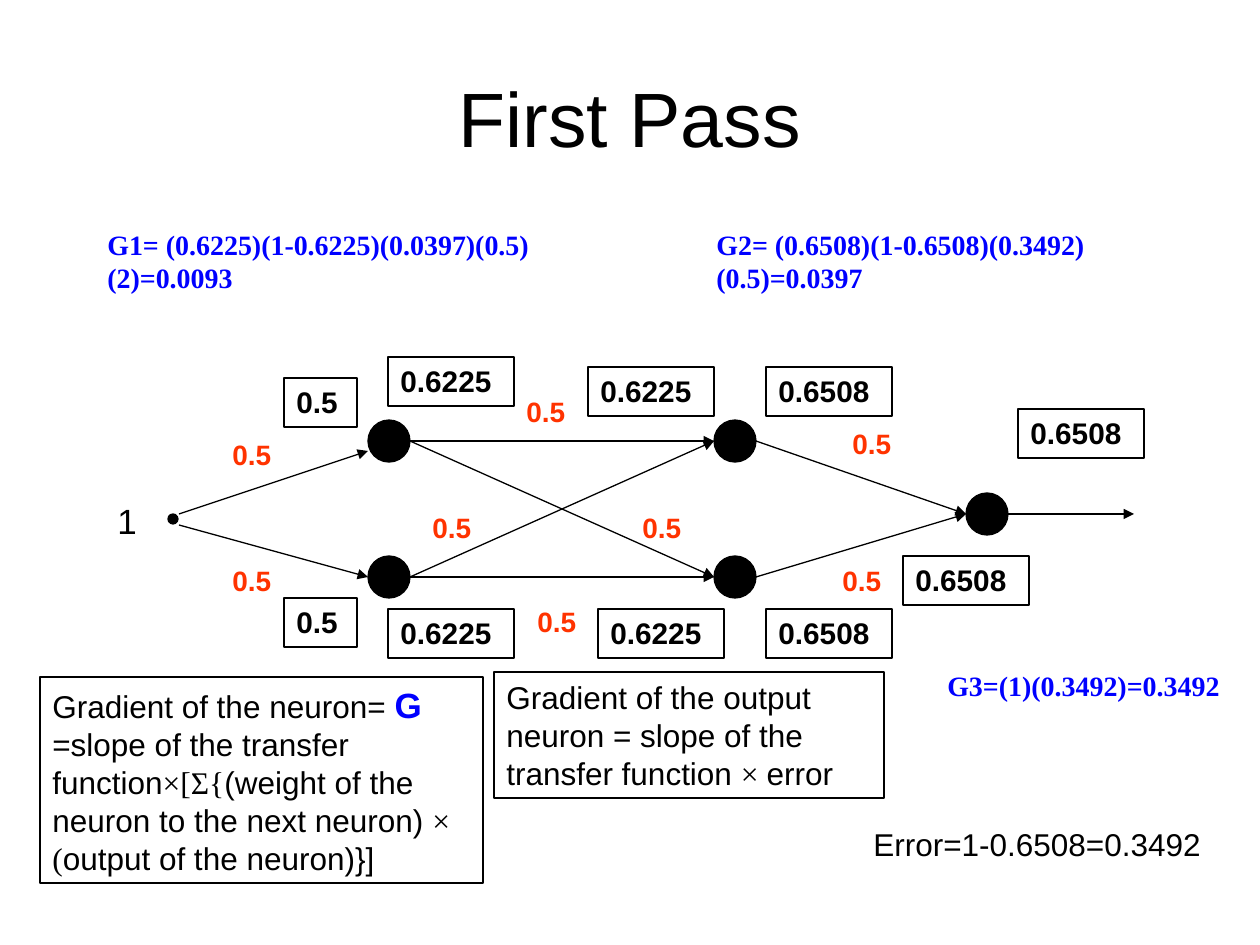
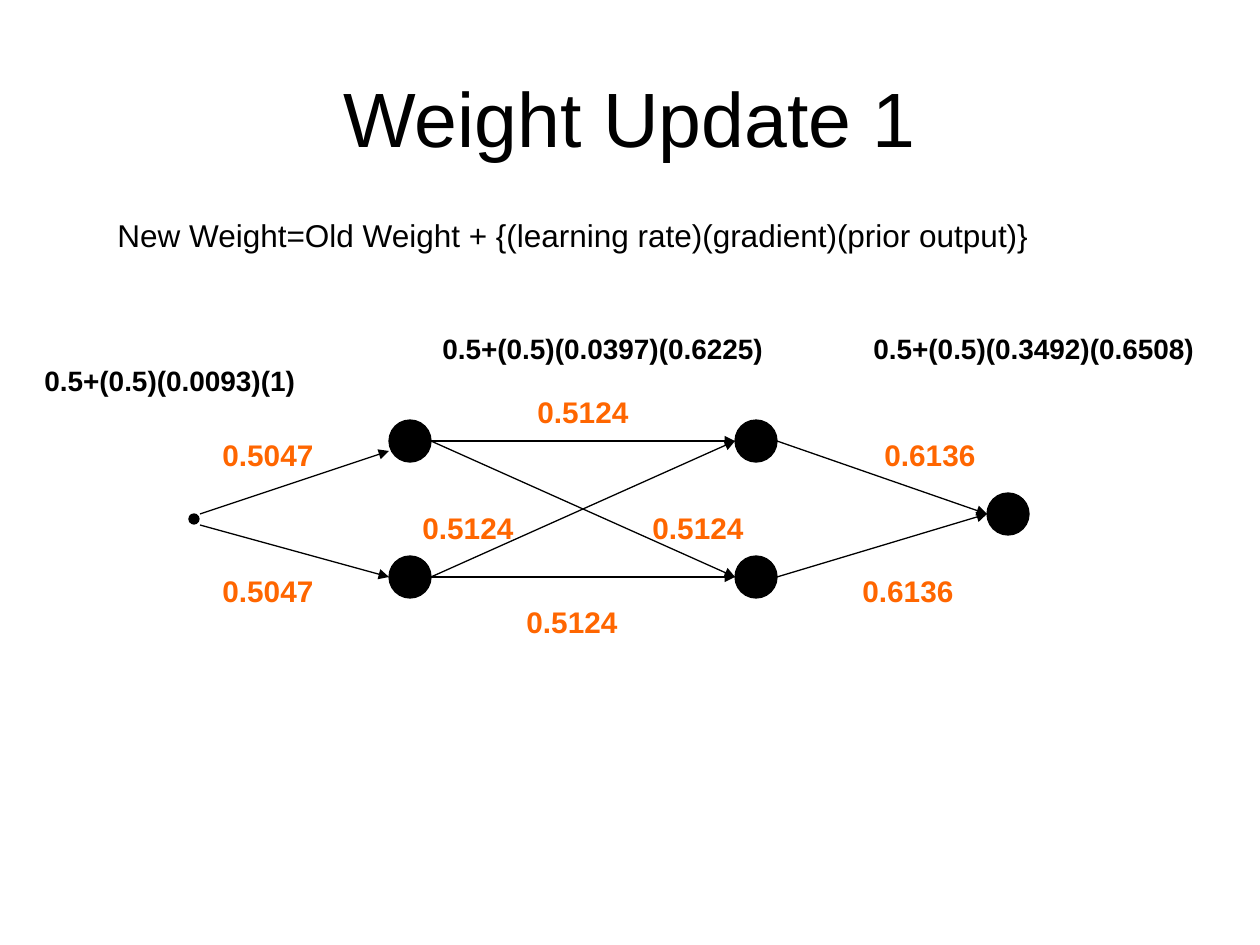
from lxml import etree
from pptx import Presentation
from pptx.dml.color import RGBColor
from pptx.enum.shapes import MSO_CONNECTOR, MSO_SHAPE
from pptx.enum.text import MSO_ANCHOR, PP_ALIGN
from pptx.oxml.ns import qn
from pptx.util import Emu, Pt

STRAIGHT = MSO_CONNECTOR.STRAIGHT
OVAL, RECTANGLE = MSO_SHAPE.OVAL, MSO_SHAPE.RECTANGLE
TOP, MIDDLE = MSO_ANCHOR.TOP, MSO_ANCHOR.MIDDLE
LEFT, CENTER = PP_ALIGN.LEFT, PP_ALIGN.CENTER

BLACK = RGBColor(0, 0, 0)
RED = RGBColor(0xFF, 0x33, 0x00)
ORANGE = RGBColor(0xFF, 0x66, 0x00)
BLUE = RGBColor(0, 0, 0xFF)
SANS, SERIF = "Arial", "Times New Roman"

EMU_PER_PX = 914400 / 126
NODE = 42
INPUT_DOT = 10
UPPER, OUTPUT_Y, LOWER = 441, 514, 577  # centre lines of the neurons


def px(length):
    return Emu(round(length * EMU_PER_PX))


class Deck:
    def __init__(self):
        self.presentation = Presentation()
        self.presentation.slide_width = px(1260)
        self.presentation.slide_height = px(945)
        self.shapes = None

    def new_slide(self, title):
        blank = self.presentation.slide_layouts[6]
        self.shapes = self.presentation.slides.add_slide(blank).shapes
        self.text(title, 63, 38, 1134, 158, 44, align=CENTER, anchor=MIDDLE)

    def style(self, run, size, color=BLACK, bold=False, font=SANS):
        run.font.size = Pt(size)
        run.font.color.rgb = color
        run.font.bold = bold
        run.font.name = font

    def text(self, words, x, y, width, height, size, color=BLACK, bold=False,
             font=SANS, align=LEFT, anchor=TOP, wrap=True):
        box = self.shapes.add_textbox(px(x), px(y), px(width), px(height))
        frame = box.text_frame
        frame.word_wrap = wrap
        frame.vertical_anchor = anchor
        frame.text = words
        frame.paragraphs[0].alignment = align
        self.style(frame.paragraphs[0].runs[0], size, color, bold, font)

    def frame(self, spans, x, y, width, height):
        """Outlined box; each span is (words, size, *other style arguments)."""
        box = self.shapes.add_shape(RECTANGLE, px(x), px(y), px(width), px(height))
        box.shadow.inherit = False
        box.fill.background()
        box.line.color.rgb = BLACK
        box.line.width = Pt(0.75)
        box.text_frame.word_wrap = True
        box.text_frame.vertical_anchor = TOP
        paragraph = box.text_frame.paragraphs[0]
        paragraph.alignment = LEFT
        for words, *look in spans:
            run = paragraph.add_run()
            run.text = words
            self.style(run, *look)

    def dot(self, x, y, size):
        dot = self.shapes.add_shape(OVAL, px(x), px(y), px(size), px(size))
        dot.shadow.inherit = False
        dot.fill.solid()
        dot.fill.fore_color.rgb = BLACK
        dot.line.color.rgb = BLACK
        dot.line.width = Pt(0.75)

    def arrow(self, start, end):
        arrow = self.shapes.add_connector(STRAIGHT, *map(px, start + end))
        arrow.line.color.rgb = BLACK
        arrow.line.width = Pt(0.75)
        etree.SubElement(arrow.line._get_or_add_ln(), qn("a:tailEnd"), type="triangle")
        etree.SubElement(arrow._element.spPr, qn("a:effectLst"))

    def network(self, left):
        """One input, two layers of two neurons and one output neuron."""
        first, second, output = left + 200, left + 546, left + 798
        for x, middle in ((first, UPPER), (first, LOWER), (output, OUTPUT_Y),
                          (second, LOWER), (second, UPPER)):
            self.dot(x, middle - NODE // 2, NODE)
        self.dot(left, OUTPUT_Y, INPUT_DOT)
        input_edge = left + INPUT_DOT + 1
        self.arrow((input_edge, OUTPUT_Y), (first, UPPER + 10))
        self.arrow((input_edge, OUTPUT_Y + 11), (first, LOWER))
        for source in (UPPER, LOWER):
            for target in (UPPER, LOWER):
                self.arrow((first + NODE, source), (second, target))
            self.arrow((second + NODE, source), (output, OUTPUT_Y))


def first_pass(deck):
    deck.new_slide("First Pass")
    deck.network(168)
    for x, y in ((220, 431), (420, 504), (840, 420), (830, 557),
                 (220, 557), (525, 598), (514, 388), (630, 504)):
        deck.text("0.5", x, y, 73, 47, 16, RED, True)
    deck.text("1", 105, 493, 44, 55, 20)

    for value, x, y, width in (
            ("0.5", 284, 378, 73), ("0.5", 284, 598, 73),
            ("0.6225", 598, 609, 126), ("0.6225", 588, 367, 126),
            ("0.6225", 388, 357, 126), ("0.6225", 388, 609, 126),
            ("0.6508", 903, 556, 126), ("0.6508", 766, 367, 126),
            ("0.6508", 766, 609, 126), ("0.6508", 1018, 409, 126)):
        deck.frame([(value, 17, BLACK, True)], x, y, width, 49)
    deck.arrow((1008, OUTPUT_Y), (1134, OUTPUT_Y))

    deck.text("Error=1-0.6508=0.3492", 861, 819, 368, 50, 18)
    for gradient, x, y, width, height in (
            ("G3=(1)(0.3492)=0.3492", 935, 662, 305, 97),
            ("G2= (0.6508)(1-0.6508)(0.3492)(0.5)=0.0397", 704, 221, 494, 131),
            ("G1= (0.6225)(1-0.6225)(0.0397)(0.5)(2)=0.0093", 95, 221, 494, 131)):
        deck.text(gradient, x, y, width, height, 16, BLUE, True, SERIF)

    symbol = (18, BLACK, False, SERIF)
    deck.frame([("Gradient of the neuron= ", 18),
                ("G", 20, BLUE, True),
                (" =slope of the transfer function", 18),
                ("×[Σ{", *symbol),
                ("(weight of the neuron to the next neuron) ", 18),
                ("× (", *symbol),
                ("output of the neuron)}]", 18)], 40, 677, 443, 206)
    deck.frame([("Gradient of the output neuron = slope of the transfer function ", 18),
                ("× ", *symbol),
                ("error", 18)], 494, 672, 390, 126)


def weight_update(deck):
    deck.new_slide("Weight Update 1")
    deck.network(189)
    deck.text("New Weight=Old Weight + {(learning rate)(gradient)(prior output)}",
              105, 210, 938, 50, 18, wrap=False)
    for formula, x, y in (("0.5+(0.5)(0.3492)(0.6508)", 861, 325),
                          ("0.5+(0.5)(0.0397)(0.6225)", 430, 325),
                          ("0.5+(0.5)(0.0093)(1)", 32, 357)):
        deck.text(formula, x, y, 368, 47, 16, BLACK, True)
    for weight, x, y in (
            ("0.6136", 872, 431), ("0.5124", 410, 504), ("0.5124", 640, 504),
            ("0.5124", 514, 598), ("0.6136", 850, 567), ("0.5124", 525, 388),
            ("0.5047", 210, 567), ("0.5047", 210, 431)):
        deck.text(weight, x, y, 147, 49, 17, ORANGE, True)


def main():
    deck = Deck()
    first_pass(deck)
    weight_update(deck)
    deck.presentation.save("out.pptx")


if __name__ == "__main__":
    main()
